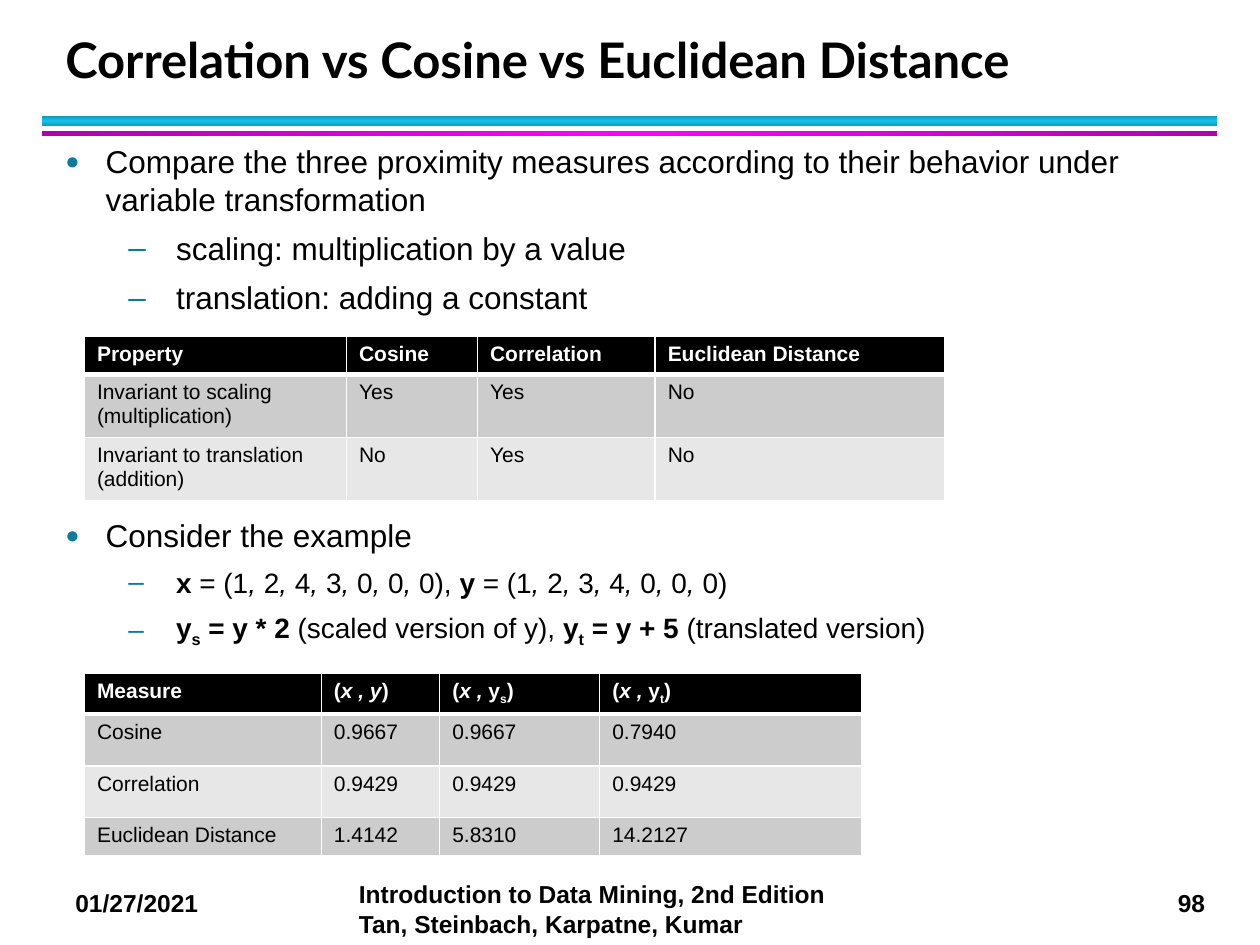
"""Build the slide comparing correlation, cosine and Euclidean distance."""
from copy import deepcopy

from lxml.etree import SubElement
from pptx import Presentation
from pptx.dml.color import RGBColor
from pptx.enum.shapes import MSO_SHAPE as Shape
from pptx.enum.text import MSO_ANCHOR as Anchor
from pptx.oxml.ns import qn
from pptx.util import Inches, Pt

BLACK, WHITE, TEAL = "000000", "FFFFFF", "0C7B9C"
BANDS = ("CCCCCC", "E7E7E7")
BULLETS = (("●", 0.32, 0.32, 75), ("–", 0.88, 0.38, 100))


def rgb(value):
    """Turn a hex string into a colour."""
    return RGBColor.from_string(value)


def add_runs(p, runs, size, color=BLACK, bold=False, font="Arial"):
    """Add (text, style) runs; style letters: b bold, i italic, _ subscript."""
    if isinstance(runs, str):
        runs = [(runs, "")]
    for text, style in runs:
        r = p.add_run()
        r.text = text
        r.font.name, r.font.size = font, Pt(size)
        r.font.color.rgb = rgb(color)
        r.font.bold = bold or "b" in style
        r.font.italic = "i" in style
        if "_" in style:
            r.font._element.set("baseline", "-25000")


def vector(name, values, end=""):
    """Return the runs of a named vector with italic commas."""
    runs = [(name + " ", "b"), ("= (", "")]
    for value in values[:-1]:
        runs += [(value, ""), (", ", "i")]
    return runs + [(values[-1] + ")" + end, "")]


def add_rule(slide, top, height, edge, middle, angle):
    """Add a bar whose gradient runs from edge to middle and back."""
    s = slide.shapes.add_shape(Shape.RECTANGLE, Inches(0.33), Inches(top),
                               Inches(9.33), Inches(height))
    s.shadow.inherit = False
    s.line.fill.background()
    s.fill.gradient()
    s.fill.gradient_angle = angle
    stops = s.element.spPr.find(qn("a:gradFill")).find(qn("a:gsLst"))
    stops.insert(1, deepcopy(stops[0]))
    for i, (stop, color) in enumerate(zip(s.fill.gradient_stops, (edge, middle, edge))):
        stop.position = i / 2
        stop.color.rgb = rgb(color)


def add_text_frame(slide, left, top, width, height, wrap=True):
    """Add a text box and return its frame."""
    box = slide.shapes.add_textbox(Inches(left), Inches(top), Inches(width), Inches(height))
    tf = box.text_frame
    tf.word_wrap = wrap
    return tf


def add_label(slide, text, left, top, width, height, wrap=True):
    """Add a bold footer label."""
    tf = add_text_frame(slide, left, top, width, height, wrap)
    add_runs(tf.paragraphs[0], text, 14, bold=True)


def add_title(slide, text):
    """Add the slide title."""
    tf = add_text_frame(slide, 0.42, 0.17, 9.06, 0.58)
    tf.vertical_anchor = Anchor.BOTTOM
    p = tf.paragraphs[0]
    p.line_spacing = Pt(36)
    add_runs(p, text, 28, bold=True, font="Lato")


def set_bullet(p, level):
    """Give a paragraph the indent and bullet of its level."""
    char, margin, hang, percent = BULLETS[level]
    p.level = level
    pPr = p._p.get_or_add_pPr()
    pPr.set("marL", str(Inches(margin)))
    pPr.set("indent", str(-Inches(hang)))
    SubElement(SubElement(pPr, qn("a:buClr")), qn("a:srgbClr"), val=TEAL)
    SubElement(pPr, qn("a:buSzPct"), val=str(percent * 1000))
    SubElement(pPr, qn("a:buFont"), typeface="Arial")
    SubElement(pPr, qn("a:buChar"), char=char)


def add_bullets(slide, top, height, items):
    """Add a bulleted list of (level, size, runs) items."""
    tf = add_text_frame(slide, 0.42, top, 9.1, height)
    for i, (level, size, runs) in enumerate(items):
        p = tf.add_paragraph() if i else tf.paragraphs[0]
        set_bullet(p, level)
        p.space_before = Pt(2.5 if i else 0)
        p.space_after = Pt(4)
        add_runs(p, runs, size)


def set_borders(cell, widths):
    """Draw white cell borders, with widths in points by side."""
    tcPr = cell._tc.get_or_add_tcPr()
    for side, width in widths.items():
        ln = SubElement(tcPr, qn("a:ln" + side), w=str(Pt(width)))
        SubElement(SubElement(ln, qn("a:solidFill")), qn("a:srgbClr"), val=WHITE)


def add_data_table(slide, top, columns, heights, rows):
    """Add a table with a black header and grey bands."""
    frame = slide.shapes.add_table(len(rows), len(columns), Inches(0.67), Inches(top),
                                   Inches(sum(columns)), Inches(sum(heights)))
    table = frame.table
    for column, width in zip(table.columns, columns):
        column.width = Inches(width)
    for i, (row, height, contents) in enumerate(zip(table.rows, heights, rows)):
        row.height = Inches(height)
        header = i == 0
        for cell, runs in zip(row.cells, contents):
            set_borders(cell, {"L": 1, "R": 1, "T": 3 if i == 1 else 1, "B": 3 if header else 1})
            cell.fill.solid()
            cell.fill.fore_color.rgb = rgb(BLACK if header else BANDS[(i - 1) % 2])
            add_runs(cell.text_frame.paragraphs[0], runs, 12,
                     WHITE if header else BLACK, bold=header)


def scaled_pair(subscript):
    """Return the header runs for x paired with a transformed y."""
    return [("(", ""), ("x , ", "i"), ("y", ""), (subscript, "_"), (")", "")]


def main():
    """Build and save the slide."""
    prs = Presentation()
    prs.slide_width, prs.slide_height = Inches(10), Inches(7.5)
    slide = prs.slides.add_slide(prs.slide_layouts[6])

    add_rule(slide, 0.92, 0.08, "0E9BBA", "12C2E9", 90)
    add_rule(slide, 1.04, 0.04, "B200B2", "FF00FF", 0)
    add_label(slide, "01/27/2021", 0.5, 7, 1.33, 0.34)
    add_label(slide, "98", 9.25, 7, 0.44, 0.34, wrap=False)
    add_label(slide, "Introduction to Data Mining, 2nd Edition Tan, Steinbach, Karpatne, Kumar",
              2.75, 6.93, 4.08, 0.57)
    add_title(slide, "Correlation vs Cosine vs Euclidean Distance")

    add_bullets(slide, 1.08, 1.5, [
        (0, 18, "Compare the three proximity measures according to their behavior "
                "under variable transformation"),
        (1, 18, "scaling: multiplication by a value"),
        (1, 18, "translation: adding a constant"),
    ])
    add_bullets(slide, 4.05, 1.2, [
        (0, 18, "Consider the example"),
        (1, 16, vector("x", "1243000", ", ") + vector("y", "1234000")),
        (1, 16, [("y", "b"), ("s", "b_"), (" = y * 2 ", "b"), ("(scaled version of y), ", ""),
                 ("y", "b"), ("t", "b_"), (" = y + 5 ", "b"), ("(translated version)", "")]),
    ])

    add_data_table(slide, 2.67, (2.08, 1.04, 1.41, 2.3), (0.29, 0.47, 0.47), [
        ("Property", "Cosine", "Correlation", "Euclidean Distance"),
        ("Invariant to scaling (multiplication)", "Yes", "Yes", "No"),
        ("Invariant to translation (addition)", "No", "Yes", "No"),
    ])
    add_data_table(slide, 5.34, (1.88, 0.94, 1.27, 2.08), (0.31, 0.41, 0.41, 0.28), [
        ("Measure", [("(", ""), ("x , y", "i"), (")", "")], scaled_pair("s"), scaled_pair("t")),
        ("Cosine", "0.9667", "0.9667", "0.7940"),
        ("Correlation", "0.9429", "0.9429", "0.9429"),
        ("Euclidean Distance", "1.4142", "5.8310", "14.2127"),
    ])
    prs.save("out.pptx")


if __name__ == "__main__":
    main()
